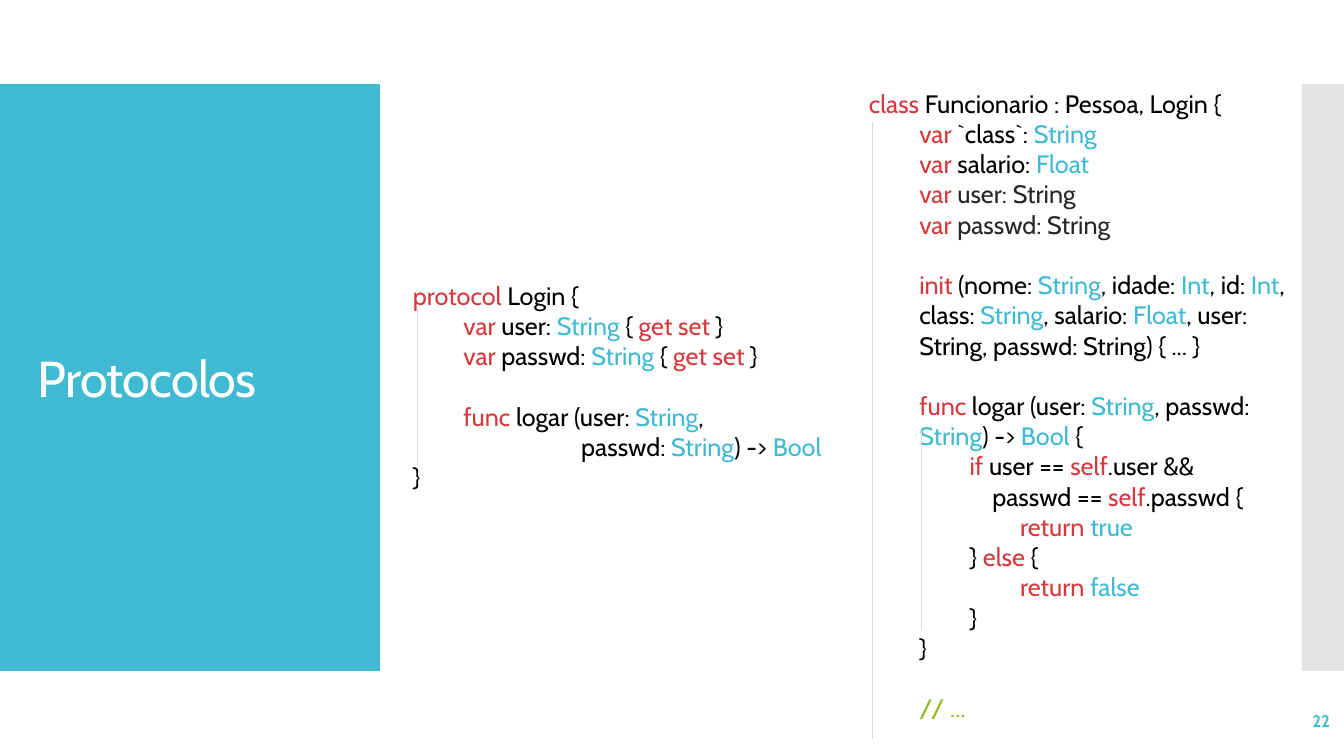
from lxml import etree
from pptx import Presentation
from pptx.dml.color import RGBColor
from pptx.enum.shapes import MSO_CONNECTOR, MSO_SHAPE
from pptx.enum.text import MSO_ANCHOR, MSO_AUTO_SIZE, PP_ALIGN
from pptx.oxml.ns import qn
from pptx.util import Emu, Pt

RECTANGLE = MSO_SHAPE.RECTANGLE
STRAIGHT = MSO_CONNECTOR.STRAIGHT
MIDDLE = MSO_ANCHOR.MIDDLE
TOP = MSO_ANCHOR.TOP
LEFT = PP_ALIGN.LEFT
RIGHT = PP_ALIGN.RIGHT
FIT_SHAPE = MSO_AUTO_SIZE.SHAPE_TO_FIT_TEXT

WHITE = RGBColor(0xFF, 0xFF, 0xFF)
PLAIN = RGBColor(0x00, 0x00, 0x00)
DARK = RGBColor(0x26, 0x26, 0x26)
KEYWORD = RGBColor(0xD5, 0x39, 0x3D)
TEAL = RGBColor(0x40, 0xBA, 0xD2)
COMMENT = RGBColor(0x90, 0xBB, 0x23)
SIDE_GREY = RGBColor(0xC8, 0xC8, 0xC8)
GUIDE_GREY = RGBColor(0xD9, 0xD9, 0xD9)

FONT = "Cabin"
CODE_SIZE = 18
LINE_GAP = Pt(21.6)
TAB = 50.4

STRING = ("String", TEAL)
FLOAT = ("Float", TEAL)
INT = ("Int", TEAL)
BOOL = ("Bool", TEAL)
SELF = ("self", KEYWORD)
VAR = ("var ", KEYWORD)
FUNC = ("func ", KEYWORD)
RETURN = ("return ", KEYWORD)
GET_SET = [(" { ", PLAIN), ("get set", KEYWORD), (" }", PLAIN)]

# Each line of code: indent in tabs, whether a gap precedes it, coloured pieces.
LOGIN_PROTOCOL = [
    (0, False, [("protocol", KEYWORD), (" Login {", PLAIN)]),
    (1, False, [VAR, ("user: ", PLAIN), STRING, *GET_SET]),
    (1, False, [VAR, ("passwd: ", PLAIN), STRING, *GET_SET]),
    (1, True, [FUNC, ("logar (user: ", PLAIN), STRING, (",", PLAIN)]),
    (3.34, False, [("passwd: ", PLAIN), STRING, (") -> ", PLAIN), BOOL]),
    (0, False, [("}", PLAIN)]),
]
EMPLOYEE_CLASS = [
    (0, False, [("class ", KEYWORD), ("Funcionario : Pessoa, Login {", PLAIN)]),
    (1, False, [VAR, ("`class`: ", PLAIN), STRING]),
    (1, False, [VAR, ("salario: ", PLAIN), FLOAT]),
    (1, False, [VAR, ("user: String", DARK)]),
    (1, False, [VAR, ("passwd: String", DARK)]),
    (1, True, [("init", KEYWORD), (" (nome: ", PLAIN), STRING,
               (", idade: ", PLAIN), INT, (", id: ", PLAIN), INT,
               (", class: ", PLAIN), STRING, (", salario: ", PLAIN), FLOAT,
               (", user: String, passwd: String) { ... }", PLAIN)]),
    (1, True, [FUNC, ("logar (user: ", PLAIN), STRING, (", passwd: ", PLAIN),
               STRING, (") -> ", PLAIN), BOOL, (" {", PLAIN)]),
    (2, False, [("if ", KEYWORD), ("user == ", PLAIN), SELF, (".user &&", PLAIN)]),
    (2.45, False, [("passwd == ", PLAIN), SELF, (".passwd {", PLAIN)]),
    (3, False, [RETURN, ("true", TEAL)]),
    (2, False, [("} ", PLAIN), ("else", KEYWORD), (" {", PLAIN)]),
    (3, False, [RETURN, ("false", TEAL)]),
    (2, False, [("}", PLAIN)]),
    (1, False, [("}", PLAIN)]),
    (1, True, [("// ...", COMMENT)]),
]
SCOPE_GUIDES = [(418, 310, 465), (922, 430, 631), (873, 122, 739)]


def px(length):
    """Turn pixels into EMU."""
    return Emu(round(length * 914400 / 100.8))


class CodeSlide:
    """Draws panels, labels, code blocks and guides on one slide."""

    def __init__(self, deck):
        """Add a blank slide to the deck."""
        self.slide = deck.slides.add_slide(deck.slide_layouts[6])

    def panel(self, left, top, width, height, color, opacity=100):
        """Draw a plain filled rectangle."""
        panel = self.slide.shapes.add_shape(
            RECTANGLE, px(left), px(top), px(width), px(height))
        panel.shadow.inherit = False
        panel.line.fill.background()
        panel.fill.solid()
        panel.fill.fore_color.rgb = color
        if opacity < 100:
            tint = panel.fill._xPr.find(".//" + qn("a:srgbClr"))
            etree.SubElement(tint, qn("a:alpha"), val=str(opacity * 1000))

    def frame(self, left, top, width, height, anchor):
        """Add a wrapping text box and return its text frame."""
        box = self.slide.shapes.add_textbox(
            px(left), px(top), px(width), px(height))
        box.text_frame.word_wrap = True
        box.text_frame.vertical_anchor = anchor
        return box.text_frame

    def style(self, run, size, color, bold=False):
        """Give a run its font, size and colour."""
        run.font.name = FONT
        run.font.size = Pt(size)
        run.font.bold = bold
        run.font.color.rgb = color

    def label(self, area, text, size, color, align=LEFT, bold=False, tracking=0):
        """Write one vertically centred line."""
        frame = self.frame(*area, MIDDLE)
        frame.text = text
        line = frame.paragraphs[0]
        line.alignment = align
        self.style(line.runs[0], size, color, bold)
        if tracking:
            line.runs[0].font._element.set("spc", str(tracking))

    def code(self, area, lines):
        """Write a block of coloured, indented code."""
        frame = self.frame(*area, TOP)
        frame.auto_size = FIT_SHAPE
        for number, (tabs, gap, pieces) in enumerate(lines):
            line = frame.add_paragraph() if number else frame.paragraphs[0]
            if tabs:
                properties = line._p.get_or_add_pPr()
                properties.set("marL", str(px(tabs * TAB)))
                properties.set("indent", "0")
            if gap:
                line.space_before = LINE_GAP
            for text, color in pieces:
                run = line.add_run()
                run.text = text
                self.style(run, CODE_SIZE, color)

    def guide(self, x, top, bottom):
        """Draw a thin vertical line."""
        guide = self.slide.shapes.add_connector(
            STRAIGHT, px(x), px(top), px(x), px(bottom))
        guide.line.color.rgb = GUIDE_GREY
        guide.line.width = Pt(0.75)
        etree.SubElement(guide._element.spPr, qn("a:effectLst"))


def main():
    """Build and save the slide."""
    deck = Presentation()
    deck.slide_width = px(1344)
    deck.slide_height = px(756)
    slide = CodeSlide(deck)
    slide.panel(0, 84, 380, 587, TEAL)
    slide.panel(1302, 84, 42, 587, SIDE_GREY, opacity=50)
    slide.label((28, 124, 325, 507), "Protocolos", 36, WHITE, tracking=-60)
    slide.label((1172, 701, 168, 40), "22", 12, TEAL, align=RIGHT, bold=True)
    slide.code((859, 83, 456, 651), EMPLOYEE_CLASS)
    slide.code((403, 275, 456, 224), LOGIN_PROTOCOL)
    for scope in SCOPE_GUIDES:
        slide.guide(*scope)
    deck.save("out.pptx")


if __name__ == "__main__":
    main()
